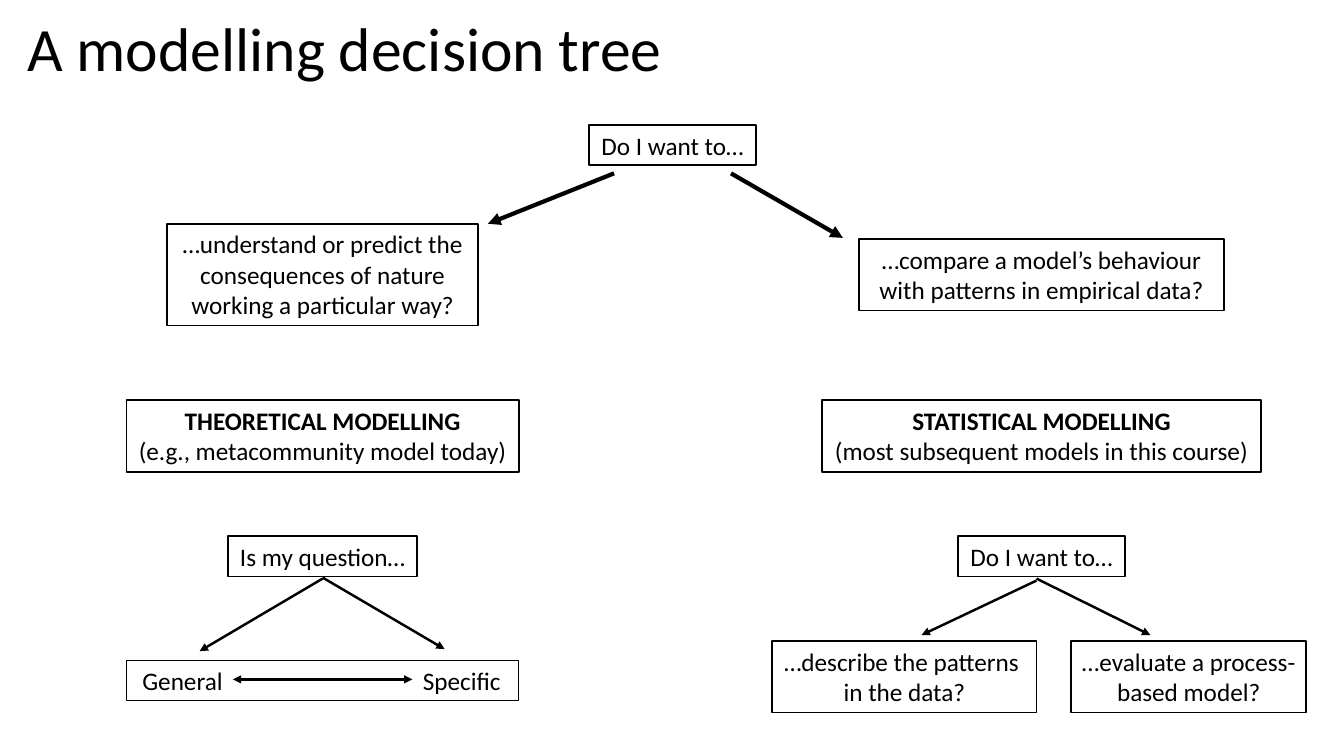
import pptx
import pptx.util
import pptx.dml.color
import pptx.enum.shapes
import pptx.enum.text
import pptx.oxml
import pptx.oxml.ns

Inches = pptx.util.Inches
Pt = pptx.util.Pt
ALIGN = pptx.enum.text.PP_ALIGN
ANCHOR = pptx.enum.text.MSO_ANCHOR
RECTANGLE = pptx.enum.shapes.MSO_SHAPE.RECTANGLE
STRAIGHT = pptx.enum.shapes.MSO_CONNECTOR.STRAIGHT
COLOURS = {name: pptx.dml.color.RGBColor.from_string(value)
           for name, value in {"ink": "000000"}.items()}
FONT = "Calibri"

# Grid: column centres, row tops, and box heights by number of text lines
COLUMNS = {"theory": 3.2, "root": 6.67, "statistics": 10.33,
           "general": 1.81, "specific": 4.58, "describe": 8.97, "evaluate": 11.79}
ROWS = {"root": 1.24, "theory aim": 2.22, "statistics aim": 2.37,
        "type": 3.97, "question": 5.32, "answer": 6.36, "scale": 6.55}
HEIGHTS = {1: 0.4, 2: 0.71, 3: 1.01}

presentation = pptx.Presentation()
presentation.slide_width = Inches(13.33)
presentation.slide_height = Inches(7.5)
slide = presentation.slides.add_slide(presentation.slide_layouts[5])


def add_run(paragraph, text, size=18, bold=False):
    run = paragraph.add_run()
    run.text = text
    run.font.name = FONT
    run.font.size = Pt(size)
    run.font.bold = bold
    run.font.color.rgb = COLOURS["ink"]


def add_box(column, row, width, line_count, paragraphs=(), wrap=False, outline=1.25):
    place = [Inches(length) for length in
             (COLUMNS[column] - width / 2, ROWS[row], width, HEIGHTS[line_count])]
    if outline:
        shape = slide.shapes.add_shape(RECTANGLE, *place)
        shape.shadow.inherit = False
        shape.fill.background()
        shape.line.color.rgb = COLOURS["ink"]
        shape.line.width = Pt(outline)
    else:
        shape = slide.shapes.add_textbox(*place)
    if not paragraphs:
        return
    frame = shape.text_frame
    frame.word_wrap = wrap
    frame.auto_size = pptx.enum.text.MSO_AUTO_SIZE.SHAPE_TO_FIT_TEXT
    frame.vertical_anchor = ANCHOR.TOP
    for index, text in enumerate(paragraphs):
        paragraph = frame.add_paragraph() if index else frame.paragraphs[0]
        paragraph.alignment = ALIGN.CENTER
        add_run(paragraph, text, bold=text.isupper())


# Title
title = slide.shapes.title
title.left, title.top, title.width, title.height = [
    Inches(length) for length in (0.17, -0.21, 11.5, 1.45)]
title.text_frame.vertical_anchor = ANCHOR.MIDDLE
title_paragraph = title.text_frame.paragraphs[0]
title_paragraph.alignment = ALIGN.LEFT
title_paragraph.line_spacing = 0.9
add_run(title_paragraph, "A modelling decision tree", size=44)

# Boxes with fitted text: column, row, width, paragraphs
for column, row, width, paragraphs in [
    ("root", "root", 1.65, ["Do I want to…"]),
    ("theory", "type", 3.89, ["THEORETICAL MODELLING", "(e.g., metacommunity model today)"]),
    ("statistics", "type", 4.35,
     ["STATISTICAL MODELLING", "(most subsequent models in this course)"]),
    ("theory", "question", 1.88, ["Is my question…"]),
    ("statistics", "question", 1.65, ["Do I want to…"]),
]:
    add_box(column, row, width, len(paragraphs), paragraphs)

# Boxes with wrapped text: column, row, width, lines, paragraphs
for column, row, width, line_count, paragraphs in [
    ("theory", "theory aim", 3.08, 3,
     ["…understand or predict the consequences of nature working a particular way?"]),
    ("statistics", "statistics aim", 3.62, 2,
     ["…compare a model’s behaviour with patterns in empirical data?"]),
    ("describe", "answer", 2.62, 2, ["…describe the patterns ", "in the data?"]),
    ("evaluate", "answer", 2.33, 2, ["…evaluate a process-based model?"]),
]:
    add_box(column, row, width, line_count, paragraphs, wrap=True)

# Scale from general to specific
add_box("theory", "scale", 3.89, 1, outline=1)
add_box("general", "scale", 1.01, 1, ["General"], outline=None)
add_box("specific", "scale", 0.98, 1, ["Specific"], outline=None)

# Arrows: start, end, line width, arrowheads
for start, end, width, heads in [
    ((6.09, 1.72), (4.84, 2.22), 3, ["tailEnd"]),
    ((7.25, 1.72), (8.36, 2.36), 3, ["tailEnd"]),
    ((3.2, 5.74), (1.98, 6.46), 1.75, ["tailEnd"]),
    ((3.2, 5.73), (4.41, 6.44), 1.75, ["tailEnd"]),
    ((10.28, 5.76), (9.14, 6.3), 1.75, ["tailEnd"]),
    ((10.28, 5.74), (11.41, 6.3), 1.75, ["tailEnd"]),
    ((2.31, 6.74), (4.09, 6.74), 1.75, ["headEnd", "tailEnd"]),
]:
    connector = slide.shapes.add_connector(
        STRAIGHT, *[Inches(length) for length in start + end])
    connector.line.color.rgb = COLOURS["ink"]
    connector.line.width = Pt(width)
    properties = connector._element.spPr
    line = properties.find(pptx.oxml.ns.qn("a:ln"))
    for head in heads:
        line.append(pptx.oxml.parse_xml(
            f'<a:{head} {pptx.oxml.ns.nsdecls("a")} type="triangle"/>'))
    properties.append(pptx.oxml.parse_xml(
        f'<a:effectLst {pptx.oxml.ns.nsdecls("a")}/>'))

presentation.save("out.pptx")
